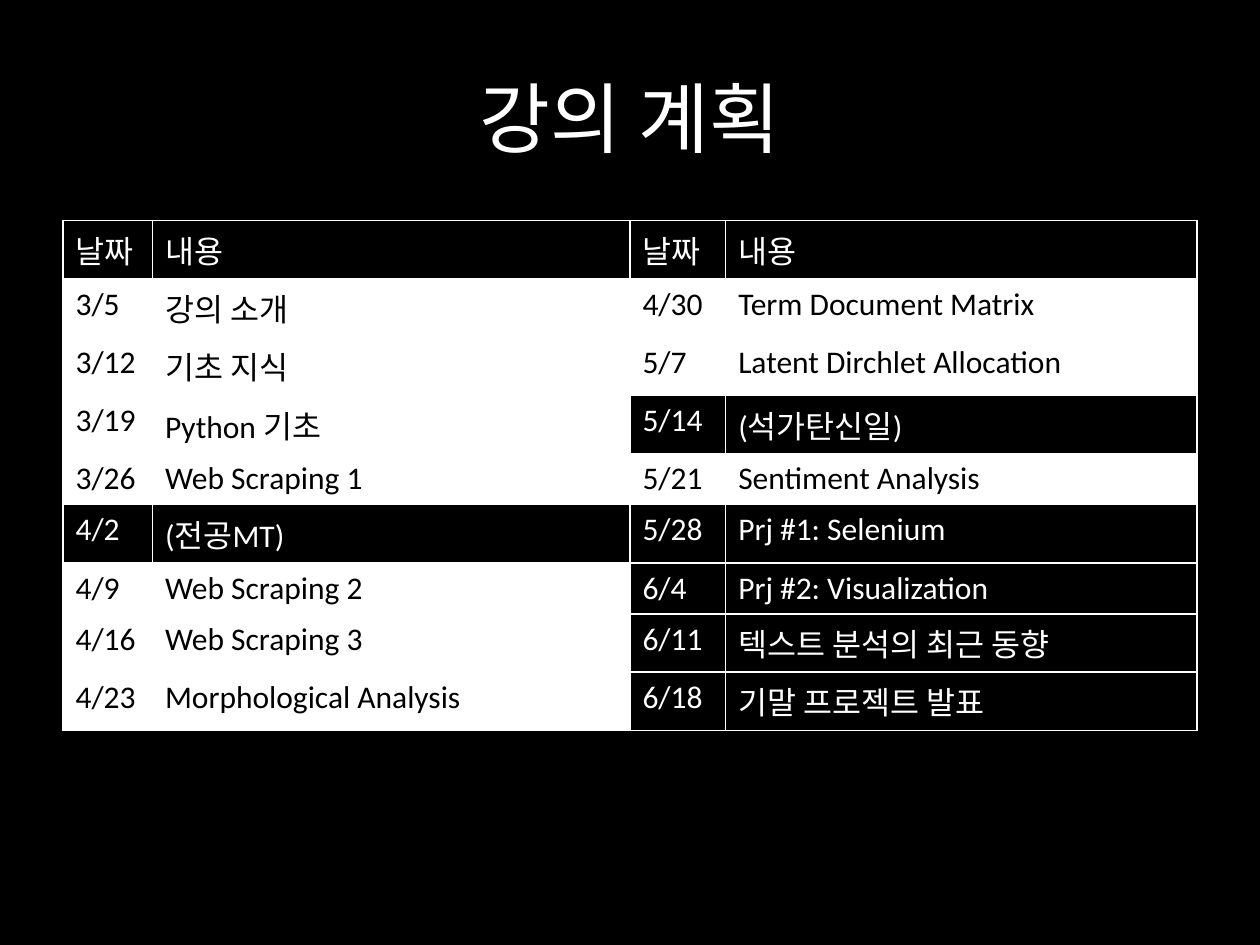
from lxml.etree import SubElement
from pptx import Presentation
from pptx.dml.color import RGBColor
from pptx.enum.text import MSO_ANCHOR, PP_ALIGN
from pptx.oxml.ns import qn
from pptx.util import Inches, Pt

BLACK = RGBColor(0x00, 0x00, 0x00)
WHITE = RGBColor(0xFF, 0xFF, 0xFF)
FONT = "Calibri"

HEADER = ("날짜", "내용")
FIRST_HALF = [
    ("3/5", "강의 소개"),
    ("3/12", "기초 지식"),
    ("3/19", "Python 기초"),
    ("3/26", "Web Scraping 1"),
    ("4/2", "(전공MT)"),
    ("4/9", "Web Scraping 2"),
    ("4/16", "Web Scraping 3"),
    ("4/23", "Morphological Analysis"),
]
SECOND_HALF = [
    ("4/30", "Term Document Matrix"),
    ("5/7", "Latent Dirchlet Allocation"),
    ("5/14", "(석가탄신일)"),
    ("5/21", "Sentiment Analysis"),
    ("5/28", "Prj #1: Selenium"),
    ("6/4", "Prj #2: Visualization"),
    ("6/11", "텍스트 분석의 최근 동향"),
    ("6/18", "기말 프로젝트 발표"),
]
DARK_DATES = {"날짜", "4/2", "5/14", "5/28", "6/4", "6/11", "6/18"}
COLUMN_WIDTHS = (0.71, 3.79, 0.76, 3.74)


def add_text(para, text, size, color):
    span = para.add_run()
    span.text = text
    span.font.name = FONT
    span.font.size = Pt(size)
    span.font.bold = False
    span.font.color.rgb = color


def add_borders(cell, color):
    properties = cell._tc.get_or_add_tcPr()
    for index, side in enumerate(("lnL", "lnR", "lnT", "lnB")):
        line = properties.makeelement(qn(f"a:{side}"), {"w": str(Pt(1))})
        fill = SubElement(line, qn("a:solidFill"))
        SubElement(fill, qn("a:srgbClr"), val=str(color))
        properties.insert(index, line)


def fill_cell(cell, text, dark):
    cell.fill.solid()
    cell.fill.fore_color.rgb = BLACK if dark else WHITE
    add_borders(cell, WHITE)
    add_text(cell.text_frame.paragraphs[0], text, 18, WHITE if dark else BLACK)


def place_title(page, text, left, top, width, height):
    title = page.shapes.title
    title.left, title.top = left, top
    title.width, title.height = width, height
    frame = title.text_frame
    frame.vertical_anchor = MSO_ANCHOR.MIDDLE
    para = frame.paragraphs[0]
    para.alignment = PP_ALIGN.CENTER
    add_text(para, text, 44, WHITE)


def place_schedule(page, left, top, width, height):
    halves = [[HEADER] + FIRST_HALF, [HEADER] + SECOND_HALF]
    row_count = len(halves[0])
    table = page.shapes.add_table(
        row_count, len(COLUMN_WIDTHS), left, top, width, height
    ).table
    table.first_row = False
    table.horz_banding = False
    for column, column_width in zip(table.columns, COLUMN_WIDTHS):
        column.width = Inches(column_width)
    for half_index, half in enumerate(halves):
        for row, (date, topic) in enumerate(half):
            for offset, text in enumerate((date, topic)):
                cell = table.cell(row, 2 * half_index + offset)
                fill_cell(cell, text, date in DARK_DATES)


def main():
    deck = Presentation()
    deck.slide_width, deck.slide_height = Inches(10), Inches(7.5)
    page = deck.slides.add_slide(deck.slide_layouts[5])
    page.background.fill.solid()
    page.background.fill.fore_color.rgb = BLACK
    place_title(page, "강의 계획", Inches(0.5), Inches(0.3), Inches(9), Inches(1.25))
    place_schedule(page, Inches(0.5), Inches(1.75), Inches(9), Inches(3.65))
    deck.save("out.pptx")


if __name__ == "__main__":
    main()
